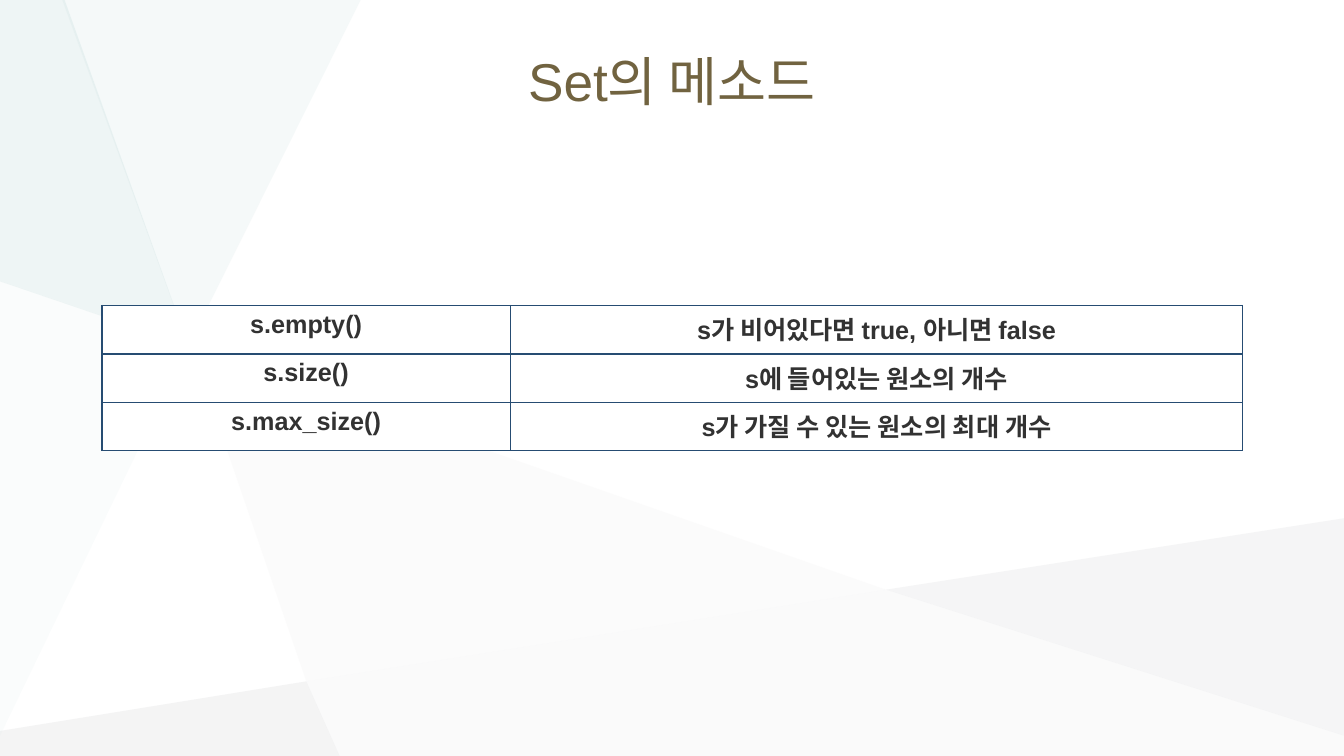
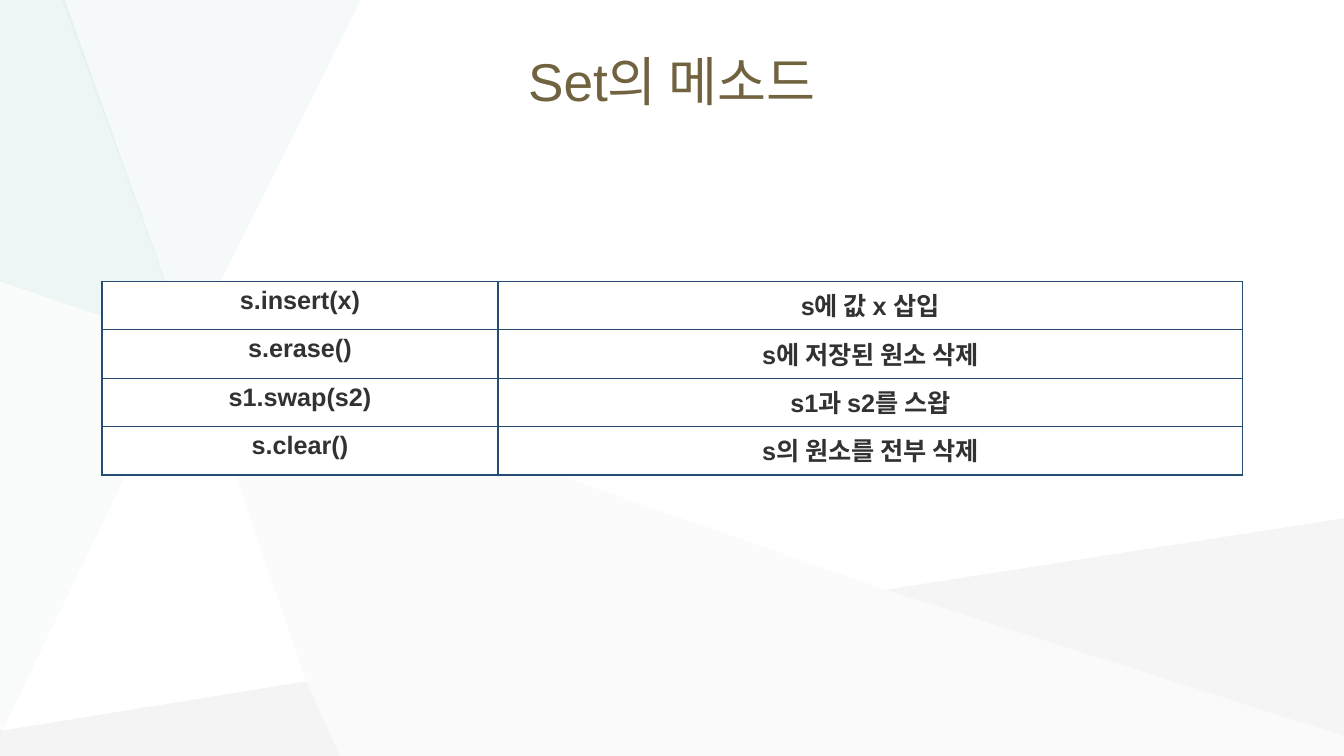
from lxml.etree import SubElement
from pptx import Presentation
from pptx.dml.color import RGBColor
from pptx.enum.text import MSO_ANCHOR, PP_ALIGN
from pptx.oxml import parse_xml
from pptx.oxml.ns import nsdecls, qn
from pptx.util import Cm, Pt

WIDE, HIGH = 33.87, 19.05
FONT = "Arial"
GOLD = RGBColor(0x71, 0x63, 0x40)
DARK = RGBColor(0x32, 0x32, 0x32)
NAVY = RGBColor(0x26, 0x4C, 0x72)
WHITE = RGBColor(0xFF, 0xFF, 0xFF)
PALE = RGBColor(0xF3, 0xF2, 0xF2)
GREY = RGBColor(0xB6, 0xB8, 0xBA)
SILVER = RGBColor(0xC6, 0xC8, 0xCA)
MIST = RGBColor(0xE0, 0xED, 0xED)
MINT = RGBColor(0xC1, 0xDB, 0xDB)

# Corners where the background facets meet, in cm
HUB = (4.75, 8.71)
LOW = (7.72, 17.17)
MID = (22.33, 14.86)
FOOT = (8.56, HIGH)
LEFT = (0, 7.09)
RIGHT = (WIDE, 18.54)

# Colour, opacity in percent, outline
FACETS = [
    (PALE, 26, [(4.83, 8.74), LOW, MID]),
    (GREY, 15, [LOW, (0, 18.42), (0, HIGH), FOOT]),
    (MIST, 31, [(9.09, 0), (1.57, 0), HUB]),
    (SILVER, 17, [(WIDE, 13.06), MID, RIGHT]),
    (GREY, 6, [MID, LOW, FOOT, (WIDE, HIGH), RIGHT]),
    (MINT, 27, [(1.63, 0), (0, 0), LEFT, HUB]),
    (MINT, 8, [LEFT, (0, 18.54), HUB]),
]

TITLE = "Set의 메소드"
TABLES = [
    (7.7, (10.29, 18.46), [
        ("s.empty()", "s가 비어있다면 true, 아니면 false"),
        ("s.size()", "s에 들어있는 원소의 개수"),
        ("s.max_size()", "s가 가질 수 있는 원소의 최대 개수"),
    ]),
    (7.09, (9.98, 18.77), [
        ("s.insert(x)", "s에 값 x 삽입"),
        ("s.erase()", "s에 저장된 원소 삭제"),
        ("s1.swap(s2)", "s1과 s2를 스왑"),
        ("s.clear()", "s의 원소를 전부 삭제"),
    ]),
]


class Deck:
    """Holds the style and the slide being built."""

    def __init__(self):
        self.prs = Presentation()
        self.prs.slide_width, self.prs.slide_height = Cm(WIDE), Cm(HIGH)
        self.slide = None

    def start(self, title):
        """Add a slide with the shared background and title."""
        self.slide = self.prs.slides.add_slide(self.prs.slide_layouts[6])
        for color, alpha, points in FACETS:
            self.facet(color, alpha, points)
        self.title(title)

    def facet(self, color, alpha, points):
        first, *rest = [(Cm(x), Cm(y)) for x, y in points]
        pen = self.slide.shapes.build_freeform(*first)
        pen.add_line_segments(rest, close=True)
        shape = pen.convert_to_shape()
        shape.shadow.inherit = False
        shape.line.fill.background()
        shape.fill.solid()
        shape.fill.fore_color.rgb = color
        tint = shape.element.spPr.find(qn("a:solidFill"))[0]
        SubElement(tint, qn("a:alpha"), val=str(alpha * 1000))

    def label(self, frame, text, size, color, bold=False):
        para = frame.paragraphs[0]
        para.alignment = PP_ALIGN.CENTER
        run = para.add_run()
        run.text = text
        font = run.font
        font.name, font.size, font.bold = FONT, Pt(size), bold
        font.color.rgb = color

    def title(self, text):
        box = self.slide.shapes.add_textbox(Cm(1.24), Cm(0.71), Cm(31.39), Cm(2.62))
        frame = box.text_frame
        frame.word_wrap = True
        frame.vertical_anchor = MSO_ANCHOR.MIDDLE
        self.label(frame, text, 38, GOLD)

    def table(self, top, widths, rows, left=2.57, high=1.22):
        shape = self.slide.shapes.add_table(
            len(rows), len(widths), Cm(left), Cm(top),
            Cm(sum(widths)), Cm(high * len(rows)))
        table = shape.table
        table.first_row = table.horz_banding = False
        for col, width in zip(table.columns, widths):
            col.width = Cm(width)
        for line, texts in zip(table.rows, rows):
            line.height = Cm(high)
            for cell, text in zip(line.cells, texts):
                self.label(cell.text_frame, text, 18, DARK, bold=True)
                cell.fill.solid()
                cell.fill.fore_color.rgb = WHITE
                self.border(cell)

    def border(self, cell):
        props = cell._tc.get_or_add_tcPr()
        for spot, side in enumerate("LRTB"):
            props.insert(spot, parse_xml(
                f'<a:ln{side} {nsdecls("a")} w="{Pt(1)}"><a:solidFill>'
                f'<a:srgbClr val="{NAVY}"/></a:solidFill></a:ln{side}>'))


def main():
    deck = Deck()
    for top, widths, rows in TABLES:
        deck.start(TITLE)
        deck.table(top, widths, rows)
    deck.prs.save("out.pptx")


if __name__ == "__main__":
    main()
